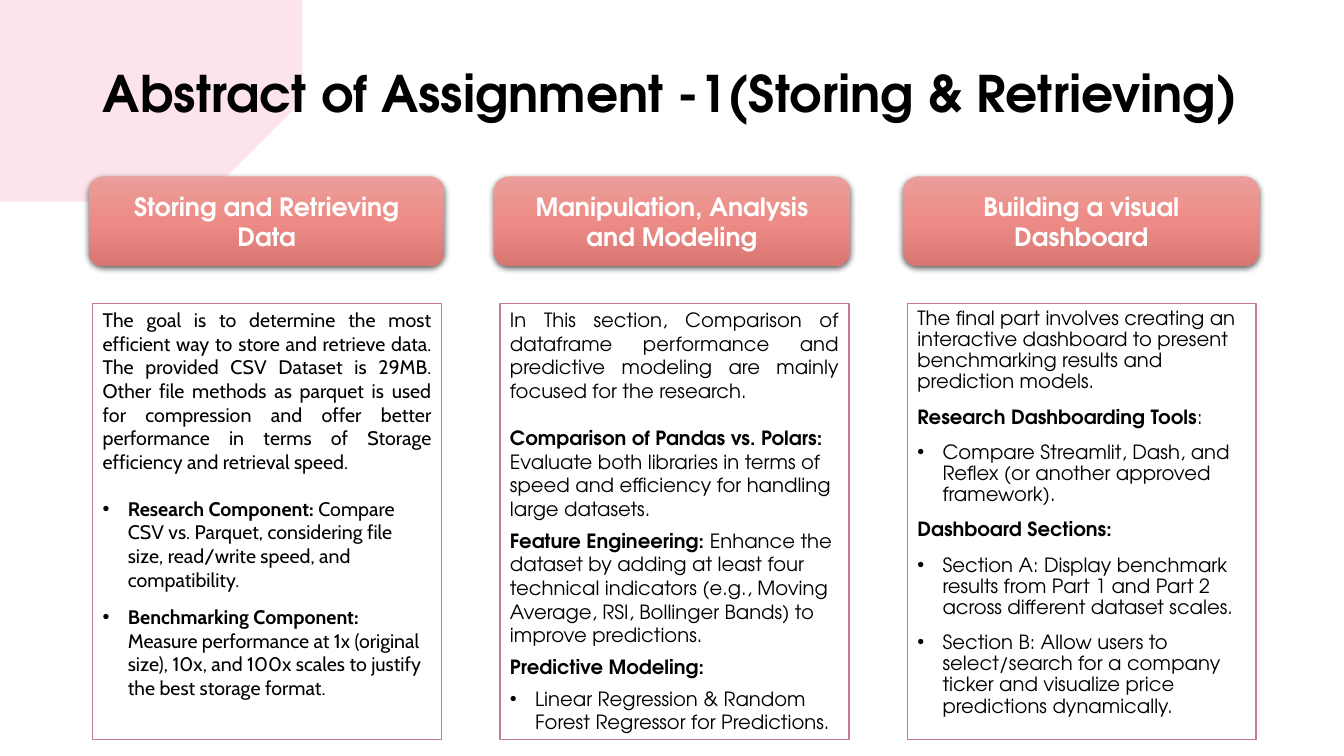
"""Build the slide that summarises the three parts of the assignment."""
import copy

import lxml.etree
import pptx
import pptx.dml.color
import pptx.enum.shapes
import pptx.enum.text
import pptx.oxml.ns
import pptx.util

Inches, Pt, qn = pptx.util.Inches, pptx.util.Pt, pptx.oxml.ns.qn
SHAPE = pptx.enum.shapes.MSO_SHAPE
ALIGN = pptx.enum.text.PP_ALIGN
ANCHOR = pptx.enum.text.MSO_ANCHOR

COLORS = {"ink": "000000", "paper": "FFFFFF", "frame": "C47A93", "brush": "F07C98"}
HEADING_STOPS = [(0, "EC9E9A"), (0.5, "ED8C86"), (1, "D87771")]
DISPLAY, READING = "TeX Gyre Adventor", "Cabin"

TITLE = "Abstract of Assignment -1(Storing & Retrieving)"

COLUMNS = [
    {"heading": "Storing and Retrieving Data", "heading_left": 0.88, "font": READING, "spacing": 1.0,
     "paragraphs": [
         ("justify", 0, "", "The goal is to determine the most efficient way to store and retrieve data. "
          "The provided CSV Dataset is 29MB. Other file methods as parquet is used for compression and "
          "offer better performance in terms of Storage efficiency and retrieval speed."),
         ("bullet", 17, "Research Component:",
          " Compare CSV vs. Parquet, considering file size, read/write speed, and compatibility."),
         ("bullet", 10, "Benchmarking Component: ", "Measure performance at 1x (original size), 10x, "
          "and 100x scales to justify the best storage format."),
     ]},
    {"heading": "Manipulation, Analysis and Modeling", "heading_left": 4.9, "font": DISPLAY, "spacing": 1.0,
     "paragraphs": [
         ("justify", 0, "", "In This section, Comparison of dataframe performance and predictive "
          "modeling are mainly focused for the research."),
         ("plain", 17, "Comparison of Pandas vs. Polars:",
          " Evaluate both libraries in terms of speed and efficiency for handling large datasets."),
         ("plain", 6, "Feature Engineering:", " Enhance the dataset by adding at least four technical "
          "indicators (e.g., Moving Average, RSI, Bollinger Bands) to improve predictions."),
         ("plain", 6, "Predictive Modeling:", ""),
         ("bullet", 6, "", "Linear Regression & Random Forest Regressor for Predictions."),
     ]},
    {"heading": "Building a visual Dashboard", "heading_left": 8.96, "font": DISPLAY, "spacing": 0.9,
     "paragraphs": [
         ("plain", 0, "", "The final part involves creating an interactive dashboard to present "
          "benchmarking results and prediction models."),
         ("plain", 10, "Research Dashboarding Tools", ":"),
         ("bullet", 10, "", "Compare Streamlit, Dash, and Reflex (or another approved framework)."),
         ("plain", 10, "Dashboard Sections:", ""),
         ("bullet", 10, "", "Section A: Display benchmark results from Part 1 and Part 2 across "
          "different dataset scales."),
         ("bullet", 10, "", "Section B: Allow users to select/search for a company ticker and "
          "visualize price predictions dynamically."),
     ]},
]

BRUSH = [
    (0, 0.34), (0.66, 0.38), (1.51, 0.38), (2.48, 0.41), (2.8, 0.47), (2.53, 0.57),
    (2.62, 0.62), (2.38, 0.66), (2.75, 0.74), (2.51, 0.75), (2.9, 0.85), (2.63, 0.88),
    (3.3, 0.94), (3.18, 1.06), (2.8, 1.2), (2.74, 1.28), (3.08, 1.28), (2.69, 1.38),
    (2.52, 1.48), (1.97, 1.72), (1.02, 1.88), (0.65, 1.91), (0, 1.88),
]


def rgb(value):
    return pptx.dml.color.RGBColor.from_string(value)


def add_run(p, text, font, size, color, bold):
    r = p.add_run()
    r.text = text
    r.font.name, r.font.size, r.font.bold = font, Pt(size), bold
    r.font.color.rgb = rgb(color)


def add_box(slide, kind, left, top, width, height, anchor):
    sp = slide.shapes.add_shape(kind, Inches(left), Inches(top), Inches(width), Inches(height))
    sp.shadow.inherit = False
    sp.text_frame.word_wrap = True
    sp.text_frame.vertical_anchor = anchor
    return sp


def add_brush(slide):
    builder = slide.shapes.build_freeform(*BRUSH[0], scale=Inches(1))
    builder.add_line_segments(BRUSH[1:], close=True)
    sp = builder.convert_to_shape()
    sp.shadow.inherit = False
    sp.fill.solid()
    sp.fill.fore_color.rgb = rgb(COLORS["brush"])
    sp.line.fill.background()
    color = sp._element.spPr.find(qn("a:solidFill"))[0]
    lxml.etree.SubElement(color, qn("a:alpha"), val="20000")


def add_title(slide):
    title = slide.shapes.title
    title.left, title.top, title.width, title.height = map(Inches, (0.92, 0.4, 11.5, 1.11))
    tf = title.text_frame
    tf.auto_size = pptx.enum.text.MSO_AUTO_SIZE.NONE
    tf.vertical_anchor = ANCHOR.MIDDLE
    p = tf.paragraphs[0]
    p.alignment, p.line_spacing = ALIGN.LEFT, 0.9
    add_run(p, TITLE, DISPLAY, 36, COLORS["ink"], True)
    slide.shapes._spTree.append(title._element)


def add_heading(slide, text, left):
    sp = add_box(slide, SHAPE.ROUNDED_RECTANGLE, left, 1.75, 3.53, 0.89, ANCHOR.MIDDLE)
    sp.line.fill.background()
    sp.fill.gradient()
    sp.fill.gradient_angle = 270
    stops = sp._element.spPr.find(qn("a:gradFill")).find(qn("a:gsLst"))
    stops.append(copy.deepcopy(stops[-1]))
    for stop, (position, color) in zip(sp.fill.gradient_stops, HEADING_STOPS):
        stop.position, stop.color.rgb = position, rgb(color)
    effects = sp._element.spPr.find(qn("a:effectLst"))
    shadow = lxml.etree.SubElement(effects, qn("a:outerShdw"), blurRad=str(Pt(4.5)),
                                   dist=str(Pt(1.5)), dir="5400000", rotWithShape="0")
    color = lxml.etree.SubElement(shadow, qn("a:srgbClr"), val=COLORS["ink"])
    lxml.etree.SubElement(color, qn("a:alpha"), val="63000")
    p = sp.text_frame.paragraphs[0]
    p.alignment = ALIGN.CENTER
    add_run(p, text, DISPLAY, 18, COLORS["paper"], True)


def add_body(slide, column, left):
    sp = add_box(slide, SHAPE.RECTANGLE, left, 3.01, 3.46, 4.33, ANCHOR.TOP)
    sp.fill.solid()
    sp.fill.fore_color.rgb = rgb(COLORS["paper"])
    sp.line.color.rgb, sp.line.width = rgb(COLORS["frame"]), Pt(1)
    tf = sp.text_frame
    for i, (style, before, lead, text) in enumerate(column["paragraphs"]):
        p = tf.add_paragraph() if i else tf.paragraphs[0]
        if style == "bullet":
            pPr = p._p.get_or_add_pPr()
            pPr.set("marL", str(Inches(0.25)))
            pPr.set("indent", str(-Inches(0.25)))
            lxml.etree.SubElement(pPr, qn("a:buFont"), typeface="Arial")
            lxml.etree.SubElement(pPr, qn("a:buChar"), char="•")
        p.alignment = ALIGN.JUSTIFY if style == "justify" else ALIGN.LEFT
        p.line_spacing, p.space_before = column["spacing"], Pt(before)
        for words, bold in ((lead, True), (text, False)):
            if words:
                add_run(p, words, column["font"], 14, COLORS["ink"], bold)


def main():
    prs = pptx.Presentation()
    prs.slide_width, prs.slide_height = Inches(13.33), Inches(7.5)
    slide = prs.slides.add_slide(prs.slide_layouts[5])
    add_brush(slide)
    add_title(slide)
    for i, column in enumerate(COLUMNS):
        add_body(slide, column, 0.92 + 4.04 * i)
        add_heading(slide, column["heading"], column["heading_left"])
    prs.save("out.pptx")


if __name__ == "__main__":
    main()
